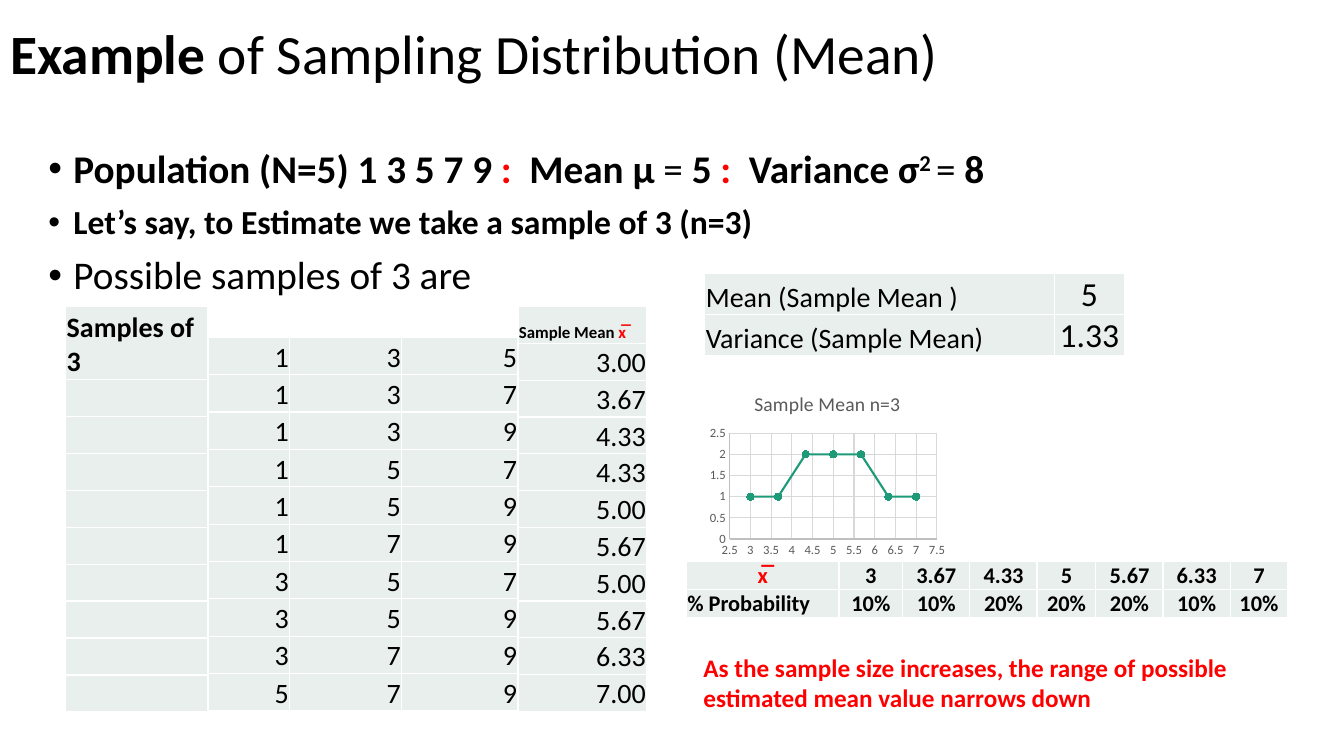
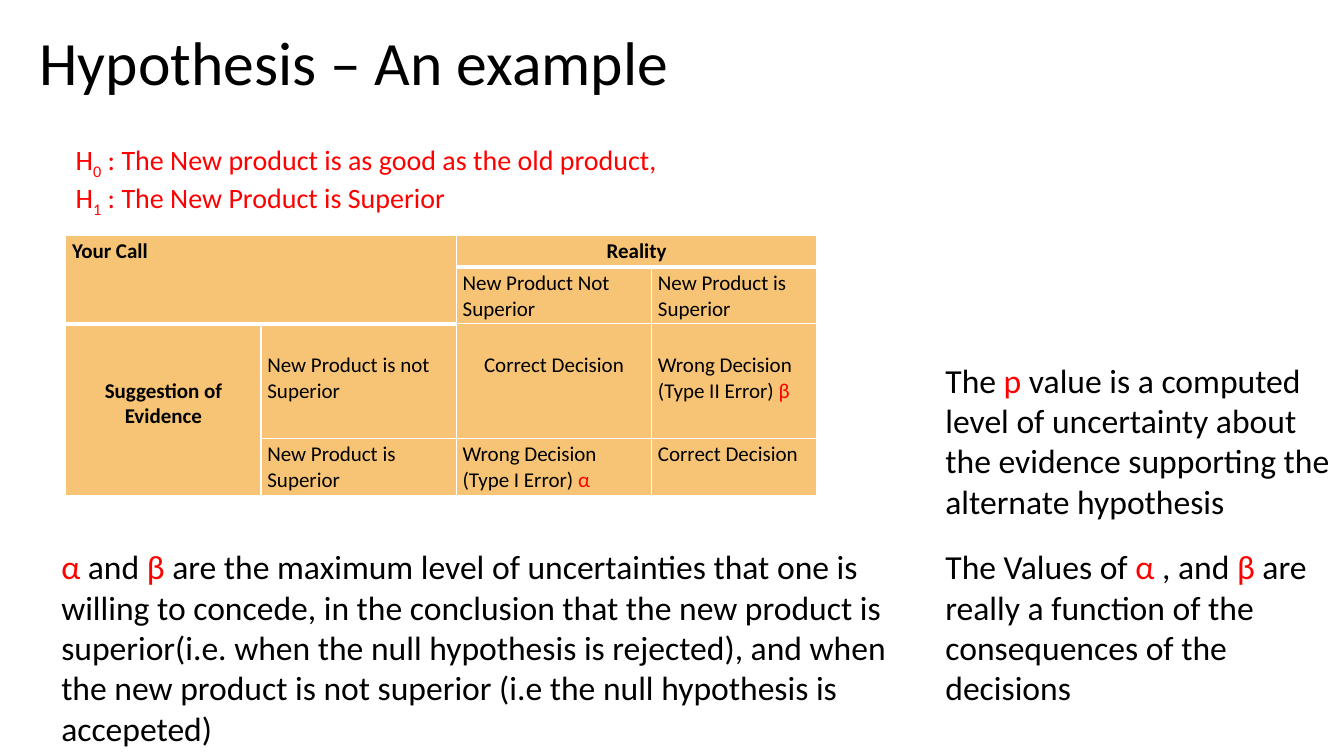
from collections import Counter
from dataclasses import dataclass
from itertools import combinations

from lxml.etree import SubElement
from pptx import Presentation
from pptx.chart.data import XyChartData
from pptx.dml.color import RGBColor as RGB
from pptx.enum.chart import XL_CHART_TYPE as ChartType, XL_MARKER_STYLE as Marker, XL_TICK_MARK as Tick
from pptx.enum.text import MSO_ANCHOR as Anchor, MSO_AUTO_SIZE as AutoSize, PP_ALIGN as Align
from pptx.oxml.ns import qn
from pptx.util import Pt


@dataclass(frozen=True)
class Theme:
    font: str = "Calibri"
    ink: RGB = RGB(0, 0, 0)
    accent: RGB = RGB(0xFF, 0, 0)
    mint: RGB = RGB(0xE8, 0xEF, 0xEC)
    amber: RGB = RGB(0xF7, 0xC4, 0x75)
    curve: RGB = RGB(0x1D, 0x9A, 0x78)
    label: RGB = RGB(0x59, 0x59, 0x59)
    axis: RGB = RGB(0xBF, 0xBF, 0xBF)
    grid: RGB = RGB(0xD9, 0xD9, 0xD9)
    border: str = "FFFFFF"
    title: float = 44
    bullet: float = 28
    body: float = 24
    cell: float = 20
    note: float = 18
    strip: float = 16
    decision: float = 15
    chart_title: float = 14
    small: float = 12
    tick: float = 9


THEME = Theme()
RED = {"color": THEME.accent}
TIGHT = (0.7, 0.7, 0.7, 0)
ROOMY = (4.5, 2.2, 4.5, 2.2)


def set_font(font, size, color=THEME.ink, bold=False):
    font.name, font.size, font.bold = THEME.font, Pt(size), bold
    font.color.rgb = color


def write(paragraph, runs, size, color=THEME.ink, bold=False, align=Align.LEFT):
    set_font(paragraph.font, size, color, bold)
    paragraph.alignment = align
    for part in [runs] if isinstance(runs, str) else runs:
        text, style = (part, {}) if isinstance(part, str) else part
        run = paragraph.add_run()
        run.text = text
        set_font(run.font, size, style.get("color", color), style.get("bold", bold))
        if "baseline" in style:
            run._r.get_or_add_rPr().set("baseline", str(style["baseline"]))


def write_all(frame, paragraphs, size, **style):
    for index, runs in enumerate(paragraphs):
        paragraph = frame.add_paragraph() if index else frame.paragraphs[0]
        write(paragraph, runs, size, **style)


def place(shape, box):
    shape.left, shape.top, shape.width, shape.height = map(Pt, box)


def add_titled_slide(presentation, box, runs, size):
    slide = presentation.slides.add_slide(presentation.slide_layouts[5])
    title = slide.shapes.title
    place(title, box)
    frame = title.text_frame
    frame.auto_size = AutoSize.NONE
    frame.vertical_anchor = Anchor.MIDDLE
    write(frame.paragraphs[0], runs, size)
    frame.paragraphs[0].line_spacing = 0.9
    return slide


def add_text(slide, box, paragraphs, size, **style):
    frame = slide.shapes.add_textbox(*map(Pt, box)).text_frame
    frame.word_wrap = True
    write_all(frame, paragraphs, size, **style)
    return frame


def add_bullets(slide, box, items):
    frame = add_text(slide, box, [""] * len(items), THEME.bullet)
    for paragraph, (runs, size, bold) in zip(frame.paragraphs, items):
        for run in paragraph.runs:
            paragraph._p.remove(run._r)
        write(paragraph, runs, size, bold=bold)
        paragraph.line_spacing, paragraph.space_before = 0.9, Pt(10)
        properties = paragraph._p.get_or_add_pPr()
        properties.set("marL", str(Pt(18)))
        properties.set("indent", str(-Pt(18)))
        SubElement(properties, qn("a:buFont"), typeface="Arial")
        SubElement(properties, qn("a:buChar"), char="•")
        default = properties.find(qn("a:defRPr"))
        properties.remove(default)
        properties.append(default)


def add_grid(slide, origin, widths, heights):
    size = (sum(widths), sum(heights))
    table = slide.shapes.add_table(len(heights), len(widths), *map(Pt, origin + size)).table
    table.first_row = table.horz_banding = False
    for column, width in zip(table.columns, widths):
        column.width = Pt(width)
    for row, height in zip(table.rows, heights):
        row.height = Pt(height)
    return table


def style_cell(cell, fill, margins, anchor, bottom=1):
    cell.margin_left, cell.margin_top, cell.margin_right, cell.margin_bottom = map(Pt, margins)
    cell.vertical_anchor = anchor
    properties = cell._tc.get_or_add_tcPr()
    for edge, width in (("L", 1), ("R", 1), ("T", 1), ("B", bottom)):
        line = SubElement(properties, qn(f"a:ln{edge}"), w=str(Pt(width)))
        SubElement(SubElement(line, qn("a:solidFill")), qn("a:srgbClr"), val=THEME.border)
    cell.fill.solid()
    cell.fill.fore_color.rgb = fill


def add_data_table(slide, origin, widths, heights, rows, style_at):
    table = add_grid(slide, origin, widths, heights)
    for r, row in enumerate(rows):
        for c, runs in enumerate(row):
            cell = table.cell(r, c)
            style_cell(cell, THEME.mint, TIGHT, Anchor.BOTTOM)
            write(cell.text_frame.paragraphs[0], runs, **style_at(r, c))


def add_samples(slide, left, top, samples):
    label_width, number_widths, mean_width = 101.5, (58.5, 80, 83), 92
    row = 26.7
    header = {"size": THEME.cell, "bold": True}
    number = {"size": THEME.cell, "align": Align.RIGHT}
    mean_header = {"size": THEME.small, "bold": True}
    add_data_table(slide, (left, top), (label_width,), (52,) + (26.4,) * 9,
                   [["Samples of 3"]] + [[""]] * 9, lambda r, c: header)
    left += label_width
    add_data_table(slide, (left, top + 22), number_widths, (row,) * 10,
                   [[str(value) for value in sample] for sample in samples], lambda r, c: number)
    left += sum(number_widths)
    means = [[f"{sum(sample) / 3:.2f}"] for sample in samples]
    add_data_table(slide, (left, top), (mean_width,), (26.3,) * 11,
                   [[["Sample Mean ", ("x\u0305", RED)]]] + means,
                   lambda r, c: number if r else mean_header)


def add_mean_chart(slide, box, distribution):
    data = XyChartData()
    series_data = data.add_series("Series 1")
    for mean, count in distribution:
        series_data.add_data_point(mean, count)
    chart = slide.shapes.add_chart(ChartType.XY_SCATTER_LINES, *map(Pt, box), data).chart
    set_font(chart.font, THEME.tick, THEME.label)
    chart.has_legend = False
    chart.has_title = True
    write(chart.chart_title.text_frame.paragraphs[0], "Sample Mean n=3",
          THEME.chart_title, THEME.label, align=Align.CENTER)
    for axis, low, high in ((chart.category_axis, 2.5, 7.5), (chart.value_axis, 0, 2.5)):
        axis.minimum_scale, axis.maximum_scale, axis.major_unit = low, high, 0.5
        axis.major_tick_mark = axis.minor_tick_mark = Tick.NONE
        axis.has_major_gridlines = True
        axis.tick_labels.number_format = "General"
        axis.tick_labels.number_format_is_linked = False
        set_font(axis.tick_labels.font, THEME.tick, THEME.label)
        for line, color in ((axis.format.line, THEME.axis), (axis.major_gridlines.format.line, THEME.grid)):
            line.color.rgb, line.width = color, Pt(0.75)
    chart.plots[0].vary_by_categories = False
    series = chart.plots[0].series[0]
    series.smooth = False
    series.format.line.color.rgb, series.format.line.width = THEME.curve, Pt(1.5)
    series.marker.style, series.marker.size = Marker.CIRCLE, 5
    series.marker.format.fill.solid()
    series.marker.format.fill.fore_color.rgb = THEME.curve
    series.marker.format.line.color.rgb = THEME.curve


def add_probabilities(slide, origin, distribution, total):
    means = [f"{mean:.3g}" for mean, count in distribution]
    shares = [f"{count / total:.0%}" for mean, count in distribution]

    def style_at(r, c):
        return {"size": THEME.strip, "bold": True,
                "align": Align.LEFT if (r, c) == (1, 0) else Align.CENTER}

    add_data_table(slide, origin, (109, 45.5, 48, 48, 42, 48, 48, 41), (19.8,) * 2,
                   [[[("x\u0305", RED)]] + means, ["% Probability"] + shares], style_at)


def build_sampling(presentation):
    slide = add_titled_slide(presentation, (0, 17.3, 828, 46),
                             [("Example", {"bold": True}), " of Sampling Distribution (Mean)"], 39.6)
    plain = {"bold": False}
    add_bullets(slide, (27.4, 103, 912, 405), [
        (["Population (N=5) 1 3 5 7 9 ", (": ", RED), " Mean µ", (" = ", plain), "5 ", (":", RED),
          "  Variance σ", ("2 ", {"baseline": 30000}), ("= ", plain), "8"], THEME.bullet, True),
        ("Let’s say, to Estimate we take a sample of 3 (n=3)", THEME.body, True),
        ("Possible samples of 3 are ", THEME.bullet, False),
    ])
    samples = list(combinations((1, 3, 5, 7, 9), 3))
    counts = Counter(round(sum(sample) / 3, 2) for sample in samples)
    distribution = sorted(counts.items())
    add_samples(slide, 47, 219, samples)
    add_data_table(slide, (503.5, 195.3), (249.5, 50.5), (29.5,) * 2,
                   [["Mean (Sample Mean )", "5"], ["Variance (Sample Mean)", "1.33"]],
                   lambda r, c: {"size": THEME.body, "align": Align.CENTER} if c else {"size": THEME.cell})
    add_mean_chart(slide, (503.5, 269.5, 175, 131.5), distribution)
    add_probabilities(slide, (490.3, 401), distribution, len(samples))
    add_text(slide, (495.4, 462.3, 424, 51),
             ["As the sample size increases, the range of possible estimated mean value narrows down"],
             THEME.note, color=THEME.accent, bold=True)


def add_decisions(slide, origin):
    table = add_grid(slide, origin, (139.5, 139.5, 139.5, 118), (22.3, 40.3, 82, 40.3))
    heavy = {(0, 0), (0, 1), (0, 2), (0, 3), (1, 0), (1, 1)}
    for r in range(4):
        for c in range(4):
            style_cell(table.cell(r, c), THEME.amber, ROOMY, Anchor.TOP, 3 if (r, c) in heavy else 1)
    for first, last in (((0, 0), (1, 1)), ((0, 2), (0, 3)), ((2, 0), (3, 0))):
        table.cell(*first).merge(table.cell(*last))
    header = {"bold": True}
    centred = {"align": Align.CENTER}
    line = 18.3
    for position, paragraphs, drop, style in (
        ((0, 0), ["Your Call"], 0, header),
        ((0, 2), ["Reality"], 0, header | centred),
        ((1, 2), ["New Product Not Superior"], 0, {}),
        ((1, 3), ["New Product is Superior "], 0, {}),
        ((2, 0), ["Suggestion of Evidence"], 2 * line, header | centred),
        ((2, 1), ["New Product is not Superior"], line, {}),
        ((2, 2), ["Correct Decision"], line, centred),
        ((2, 3), ["Wrong Decision", ["(Type II Error) ", ("β", RED)]], line, {}),
        ((3, 1), ["New Product is Superior "], 0, {}),
        ((3, 2), ["Wrong Decision", ["(Type I Error) ", ("α", RED)]], 0, {}),
        ((3, 3), ["Correct Decision"], 0, {}),
    ):
        cell = table.cell(*position)
        cell.margin_top = Pt(ROOMY[1] + drop)
        write_all(cell.text_frame, paragraphs, THEME.decision, **style)


def build_hypothesis(presentation):
    slide = add_titled_slide(presentation, (21, 5, 819.4, 84.2), "Hypothesis – An example", THEME.title)
    subscript = {"color": THEME.accent, "baseline": -25000}
    add_text(slide, (47, 98, 574, 55.4), [
        ["H", ("0", subscript), " : The New product is as good as the old product, "],
        ["H", ("1", subscript), " : The New Product is Superior"],
    ], THEME.cell, color=THEME.accent)
    add_decisions(slide, (47, 168.5))
    alpha, beta = ("α", RED), ("β ", RED)
    add_text(slide, (36.7, 386.6, 617, 152.6), [[
        alpha, " and ", beta,
        "are the maximum level of uncertainties that one is willing to concede, in the conclusion "
        "that the new product is superior(i.e. when the null hypothesis is rejected), and when the "
        "new product is not superior (i.e the null hypothesis is accepeted)"]], THEME.body)
    add_text(slide, (668.2, 253.4, 289.5, 123.8), [[
        "The ", ("p", RED),
        " value is a computed level of uncertainty about the evidence supporting the alternate hypothesis",
    ]], THEME.body)
    add_text(slide, (668.2, 386.6, 290, 123.8), [[
        "The Values of ", ("α ", RED), ", and ", beta,
        "are really a function of the consequences of the decisions"]], THEME.body)


presentation = Presentation()
presentation.slide_width, presentation.slide_height = Pt(960), Pt(540)
build_sampling(presentation)
build_hypothesis(presentation)
presentation.save("out.pptx")
